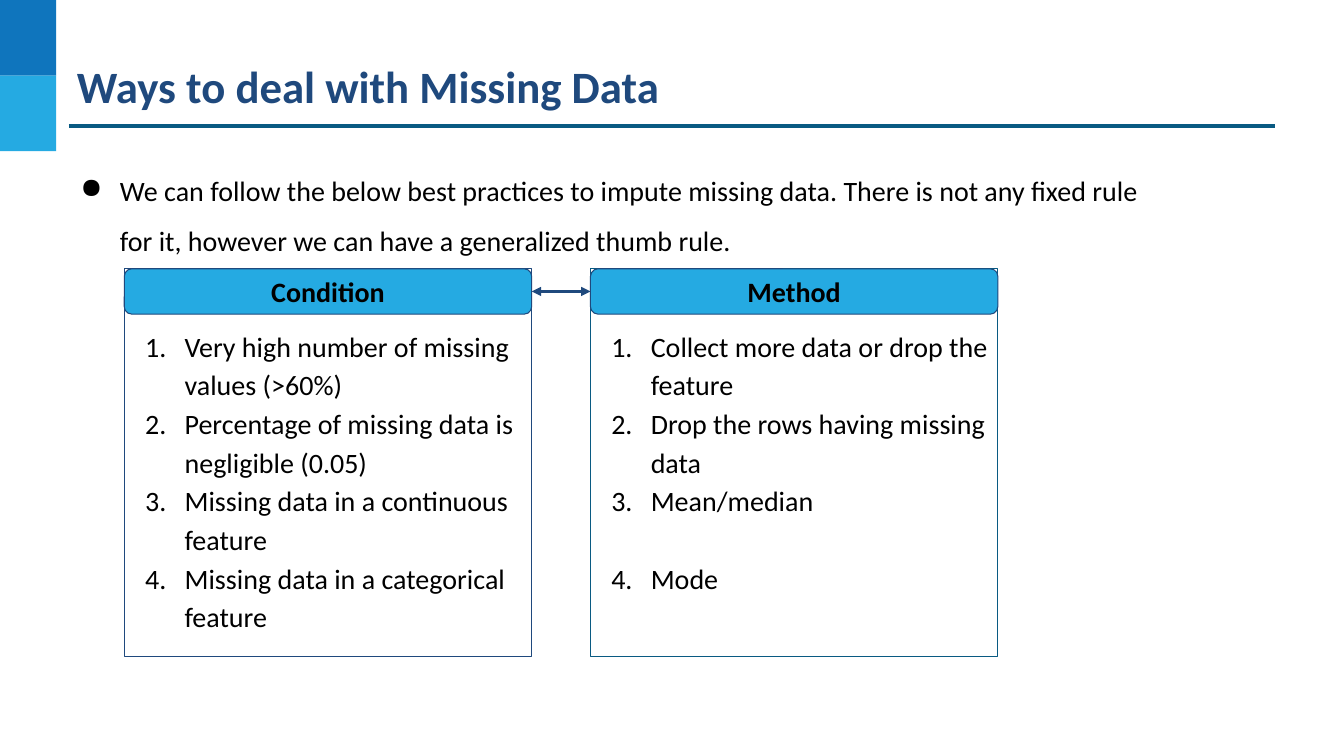
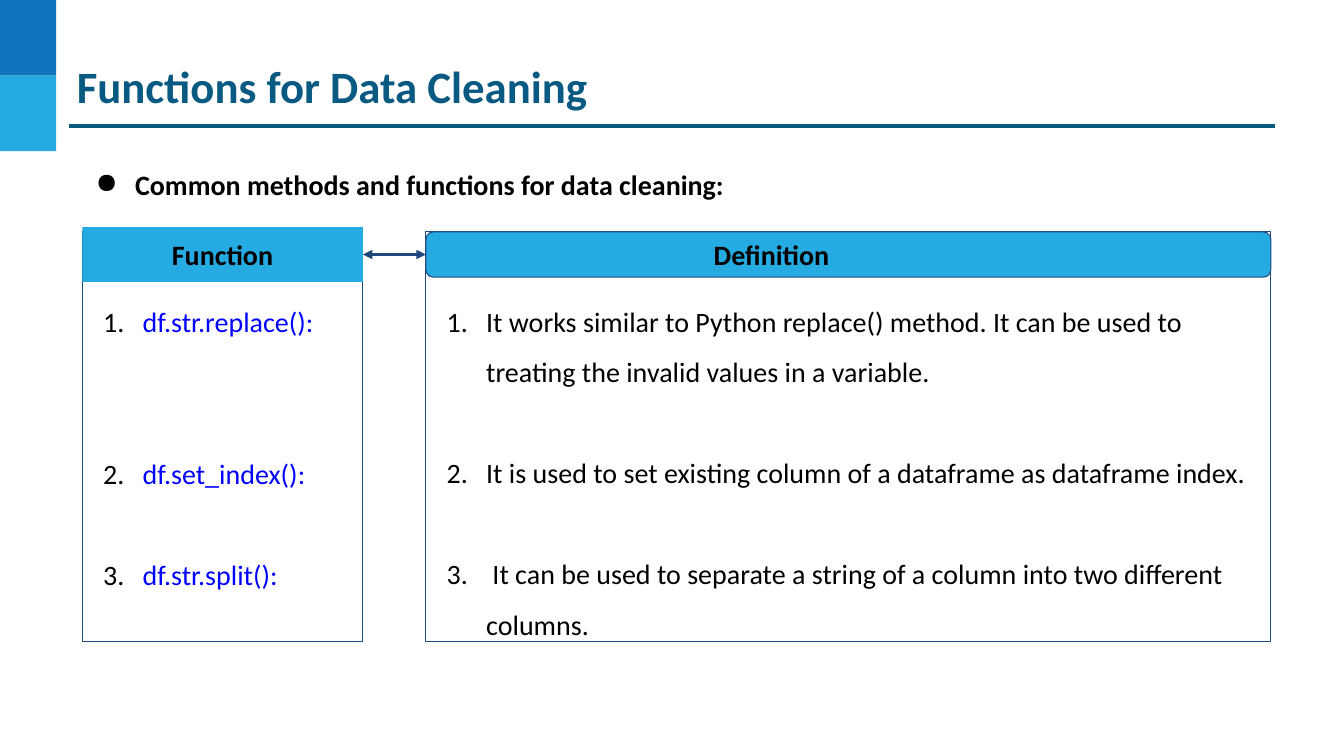
from dataclasses import dataclass

from lxml.etree import SubElement
from pptx import Presentation
from pptx.dml.color import RGBColor
from pptx.enum.shapes import MSO_CONNECTOR, MSO_SHAPE
from pptx.enum.text import MSO_ANCHOR, MSO_AUTO_SIZE, PP_ALIGN
from pptx.oxml.ns import qn
from pptx.util import Inches, Pt

COLUMNS, ROWS = 160, 90
CELL = Inches(7.5) / ROWS
FONT = "Calibri"
BLACK, NAVY, TEAL = "000000", "1F497D", "095A82"
DEEP_BLUE, SKY, CODE_BLUE = "0F75BD", "25AAE2", "0000FF"
BODY_SIZE, TITLE_SIZE = 20, 32
LINE_RATIO = 1.21
INSET = 1.2
TAB_ROWS = 5.4


@dataclass
class Box:
    left: float
    top: float
    width: float
    height: float

    def lengths(self):
        return [cells(n) for n in (self.left, self.top, self.width, self.height)]


@dataclass
class Panel:
    heading: str
    items: list
    width: float
    blanks: tuple = ()
    outline: str = NAVY
    text_color: str = BLACK
    square_tab: bool = False
    heading_indent: float = 0


def cells(count):
    return round(count * CELL)


def color(value):
    return RGBColor.from_string(value)


def add_block(page, box, kind=MSO_SHAPE.RECTANGLE, fill=None, outline=None):
    block = page.shapes.add_shape(kind, *box.lengths())
    block.shadow.inherit = False
    if fill:
        block.fill.solid()
        block.fill.fore_color.rgb = color(fill)
    else:
        block.fill.background()
    if outline:
        block.line.color.rgb = color(outline)
        block.line.width = Pt(0.75)
    else:
        block.line.fill.background()
    return block


def add_line(page, start, end, stroke, arrows=False):
    line = page.shapes.add_connector(
        MSO_CONNECTOR.STRAIGHT, *[cells(n) for n in (*start, *end)])
    line.line.color.rgb = color(stroke)
    line.line.width = Pt(2.25)
    if arrows:
        outline = line.line._get_or_add_ln()
        for tag in ("a:headEnd", "a:tailEnd"):
            SubElement(outline, qn(tag), type="triangle")
    SubElement(line._element.spPr, qn("a:effectLst"))
    return line


def set_insets(frame, inset):
    frame.margin_left = frame.margin_right = cells(inset)
    frame.margin_top = frame.margin_bottom = cells(inset)


def add_text_box(page, box, inset=INSET):
    frame = page.shapes.add_textbox(*box.lengths()).text_frame
    frame.word_wrap = True
    frame.auto_size = MSO_AUTO_SIZE.SHAPE_TO_FIT_TEXT
    set_insets(frame, inset)
    return frame


def style(para, size=BODY_SIZE, ink=BLACK, bold=False):
    para.font.name = FONT
    para.font.size = Pt(size)
    para.font.color.rgb = color(ink)
    para.font.bold = bold


def add_bullet(para, tag, **marker):
    properties = para._p.get_or_add_pPr()
    properties.set("marL", str(cells(6)))
    properties.set("indent", str(-cells(4.7)))
    SubElement(SubElement(properties, qn("a:buClr")), qn("a:srgbClr"), val=BLACK)
    SubElement(properties, qn(tag), **marker)


def add_frame(page, title, title_color):
    add_block(page, Box(0, 0, 6.7, 9), fill=DEEP_BLUE)
    add_block(page, Box(0, 9, 6.7, 9), fill=SKY)
    add_line(page, (8.2, 15), (151.8, 15), TEAL)
    para = add_text_box(page, Box(8.9, 6.7, 143.6, 7), 0.25).paragraphs[0]
    para.text = title
    style(para, TITLE_SIZE, title_color, True)


def add_intro(page, box, text, bold=False):
    para = add_text_box(page, box).paragraphs[0]
    para.text = text
    para.line_spacing = 1.5
    add_bullet(para, "a:buChar", char="●")
    style(para, bold=bold)


def add_numbered_list(page, box, panel, spacing):
    frame = add_text_box(page, box)
    blanks = panel.blanks or (0,) * len(panel.items)
    for index, (item, blank) in enumerate(zip(panel.items, blanks)):
        para = frame.add_paragraph() if index else frame.paragraphs[0]
        para.text = item
        para.line_spacing = spacing
        para.space_before = Pt(round(blank * BODY_SIZE * LINE_RATIO * spacing, 1))
        add_bullet(para, "a:buAutoNum", type="arabicPeriod")
        style(para, ink=panel.text_color)


def add_tab(page, box, panel):
    if panel.square_tab:
        rise = 0.55
        raised = Box(box.left, box.top - rise, box.width, box.height + 2 * rise)
        tab = add_block(page, raised, fill=SKY)
    else:
        tab = add_block(page, box, MSO_SHAPE.ROUNDED_RECTANGLE, SKY, NAVY)
    frame = tab.text_frame
    set_insets(frame, 0)
    frame.vertical_anchor = MSO_ANCHOR.MIDDLE
    frame.margin_left = cells(panel.heading_indent)
    para = frame.paragraphs[0]
    para.text = panel.heading
    para.alignment = PP_ALIGN.LEFT if panel.heading_indent else PP_ALIGN.CENTER
    style(para, bold=True)
    return tab


def add_panel(page, box, panel, spacing):
    add_block(page, box, outline=panel.outline)
    tab = add_tab(page, Box(box.left, box.top, box.width, TAB_ROWS), panel)
    body = Box(box.left, box.top + TAB_ROWS, box.width, box.height - TAB_ROWS)
    add_numbered_list(page, body, panel, spacing)
    return tab


def add_panel_pair(page, box, panels, spacing):
    first, second = panels
    gap = box.width - first.width - second.width
    lefts = (box.left, box.left + first.width + gap)
    tabs = [
        add_panel(page, Box(left, box.top, panel.width, box.height), panel, spacing)
        for left, panel in zip(lefts, panels)
    ]
    middle = box.top + TAB_ROWS / 2
    arrow = add_line(page, (lefts[1] - gap, middle), (lefts[1], middle), NAVY, True)
    arrow.begin_connect(tabs[0], 3)
    arrow.end_connect(tabs[1], 1)


def build_missing_data(page):
    add_frame(page, "Ways to deal with Missing Data", NAVY)
    add_intro(
        page, Box(7.1, 17.4, 134, 12.5),
        "We can follow the below best practices to impute missing data. There is "
        "not any fixed rule for it, however we can have a generalized thumb rule.")
    condition = Panel("Condition", [
        "Very high number of missing values (>60%)",
        "Percentage of missing data is negligible (0.05)",
        "Missing data in a continuous feature",
        "Missing data in a categorical feature",
    ], 48.5)
    method = Panel("Method", [
        "Collect more data or drop the feature",
        "Drop the rows having missing data",
        "Mean/median",
        "Mode",
    ], 48.5, blanks=(0, 0, 0, 1), outline=TEAL)
    add_panel_pair(page, Box(14.8, 32, 104, 46.2), (condition, method), 1.15)


def build_cleaning_functions(page):
    add_frame(page, "Functions for Data Cleaning", TEAL)
    add_intro(page, Box(8.9, 16.8, 78.6, 6.5),
              "Common methods and functions for data cleaning:", True)
    function = Panel(
        "Function", ["df.str.replace():", "df.set_index():", "df.str.split():"],
        33.4, blanks=(0, 2, 1), text_color=CODE_BLUE, square_tab=True)
    definition = Panel("Definition", [
        "It works similar to Python replace() method. It can be used to treating "
        "the invalid values in a variable.",
        "It is used to set existing column of a dataframe as dataframe index.",
        " It can be used to separate a string of a column into two different columns.",
    ], 100.6, blanks=(0, 1, 1), heading_indent=34)
    add_panel_pair(page, Box(9.8, 27.6, 141.5, 48.8), (function, definition), 1.5)


def main():
    deck = Presentation()
    deck.slide_width, deck.slide_height = cells(COLUMNS), cells(ROWS)
    for build in (build_missing_data, build_cleaning_functions):
        build(deck.slides.add_slide(deck.slide_layouts[6]))
    deck.save("out.pptx")


if __name__ == "__main__":
    main()
